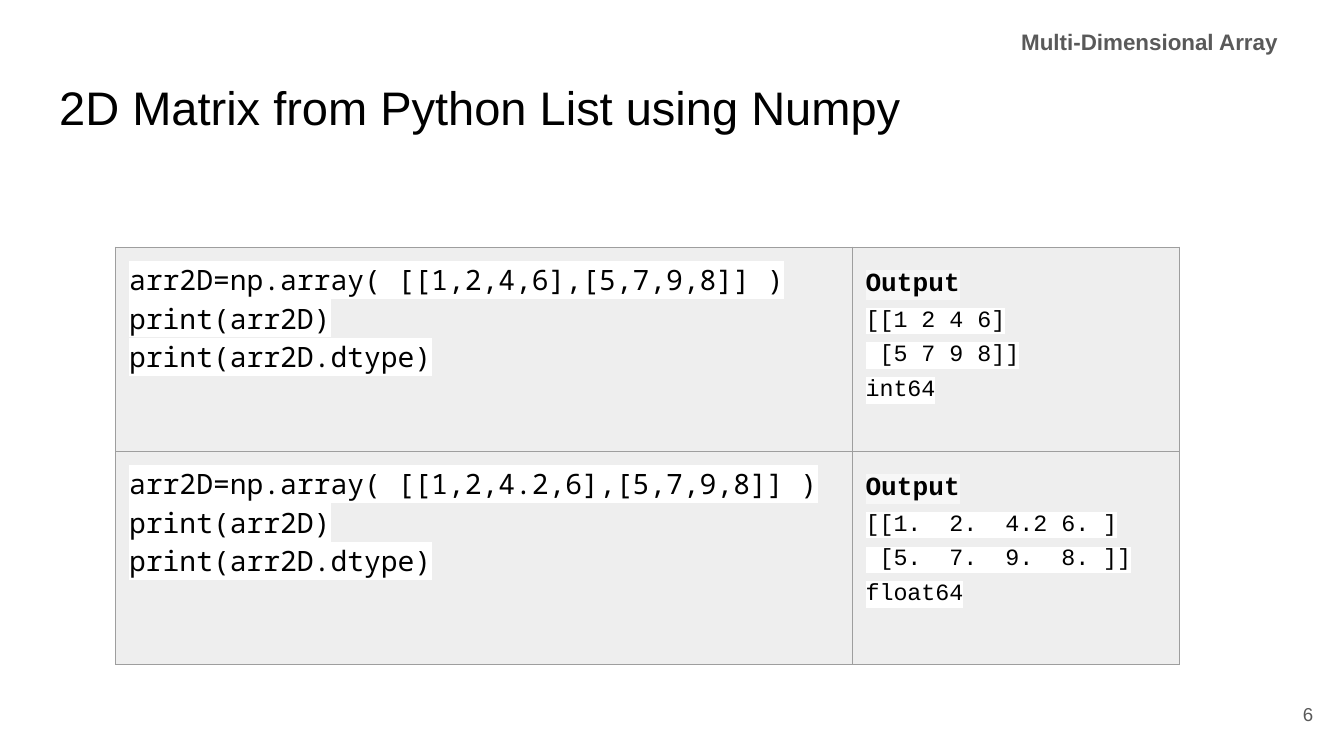
"""Build the slide on making a 2D matrix from a Python list."""
import pptx
import pptx.dml.color
import pptx.enum.text
import pptx.oxml
import pptx.oxml.ns
import pptx.util
from pptx.dml.color import RGBColor
from pptx.enum.text import MSO_ANCHOR, PP_ALIGN
from pptx.util import Pt

TITLE = "2D Matrix from Python List using Numpy"
SECTION = "Multi-Dimensional Array"
PAGE_NUMBER = "6"
EXAMPLES = [
    (["arr2D=np.array( [[1,2,4,6],[5,7,9,8]] )", "print(arr2D)", "print(arr2D.dtype)"],
     ["[[1 2 4 6]", " [5 7 9 8]]", "int64"]),
    (["arr2D=np.array( [[1,2,4.2,6],[5,7,9,8]] )", "print(arr2D)", "print(arr2D.dtype)"],
     ["[[1.  2.  4.2 6. ]", " [5.  7.  9.  8. ]]", "float64"]),
]
COLUMN_WIDTHS = [394.5, 175.5]
ROW_HEIGHTS = [109.4, 114]
INSET = 7.2

BLACK = RGBColor(0x00, 0x00, 0x00)
GRAY = RGBColor(0x59, 0x59, 0x59)
BORDER = RGBColor(0x9E, 0x9E, 0x9E)
CELL_FILL = RGBColor(0xEE, 0xEE, 0xEE)
WHITE = RGBColor(0xFF, 0xFF, 0xFF)
PALE = RGBColor(0xF7, 0xF7, 0xF7)


def set_font(paragraph, name, size, color, bold=False):
    font = paragraph.font
    font.name, font.size, font.bold = name, Pt(size), bold
    font.color.rgb = color


def fill_frame(frame, text, size, color, bold=False, align=PP_ALIGN.LEFT, anchor=MSO_ANCHOR.TOP):
    frame.auto_size = pptx.enum.text.MSO_AUTO_SIZE.NONE
    frame.word_wrap = True
    frame.vertical_anchor = anchor
    frame.margin_left = frame.margin_right = frame.margin_top = frame.margin_bottom = Pt(INSET)
    paragraph = frame.paragraphs[0]
    paragraph.text = text
    paragraph.alignment = align
    set_font(paragraph, "Arial", size, color, bold)


def add_xml(parent, xml, position):
    namespace = pptx.oxml.ns.nsdecls("a")
    parent.insert(position, pptx.oxml.parse_xml(xml.replace(" ", f" {namespace} ", 1)))


def add_line(frame, index, text, name, size, highlight, bold=False, spacing=None):
    paragraph = frame.paragraphs[0] if index == 0 else frame.add_paragraph()
    paragraph.line_spacing = spacing
    set_font(paragraph, name, size, BLACK, bold)
    run = paragraph.add_run()
    run.text = text
    properties = run.font._element if hasattr(run.font, "_element") else run._r.get_or_add_rPr()
    add_xml(properties, f'<a:highlight ><a:srgbClr val="{highlight}"/></a:highlight>', 0)


def format_cell(cell):
    cell.margin_left = cell.margin_right = cell.margin_top = cell.margin_bottom = Pt(INSET)
    cell.fill.solid()
    cell.fill.fore_color.rgb = CELL_FILL
    for position, side in enumerate(["lnL", "lnR", "lnT", "lnB"]):
        add_xml(cell._tc.get_or_add_tcPr(),
                f'<a:{side} w="{Pt(0.75)}"><a:solidFill><a:srgbClr val="{BORDER}"/>'
                f'</a:solidFill></a:{side}>', position)


presentation = pptx.Presentation()
presentation.slide_width, presentation.slide_height = Pt(720), Pt(405)
slide = presentation.slides.add_slide(presentation.slide_layouts[5])

title = slide.shapes.title
title.left, title.top, title.width, title.height = Pt(24.5), Pt(35), Pt(671), Pt(45.4)
fill_frame(title.text_frame, TITLE, 25.2, BLACK)

section = slide.shapes.add_textbox(Pt(540), Pt(8), Pt(155.5), Pt(31))
fill_frame(section.text_frame, SECTION, 12, GRAY, bold=True)

page_number = slide.shapes.add_textbox(Pt(667.4), Pt(367.2), Pt(43.2), Pt(31))
fill_frame(page_number.text_frame, PAGE_NUMBER, 10, GRAY,
           align=PP_ALIGN.RIGHT, anchor=MSO_ANCHOR.MIDDLE)

table = slide.shapes.add_table(len(EXAMPLES), 2, Pt(62), Pt(132.5),
                               Pt(sum(COLUMN_WIDTHS)), Pt(sum(ROW_HEIGHTS))).table
for column, width in zip(table.columns, COLUMN_WIDTHS):
    column.width = Pt(width)
for row, height, (code, output) in zip(table.rows, ROW_HEIGHTS, EXAMPLES):
    row.height = Pt(height)
    code_cell, output_cell = row.cells
    format_cell(code_cell)
    format_cell(output_cell)
    for index, text in enumerate(code):
        add_line(code_cell.text_frame, index, text, "Noto Sans Mono", 15, WHITE)
    add_line(output_cell.text_frame, 0, "Output", "Courier New", 14, PALE, True, 1.31)
    for index, text in enumerate(output, start=1):
        add_line(output_cell.text_frame, index, text, "Courier New", 12.5, WHITE, spacing=1.31)

presentation.save("out.pptx")
